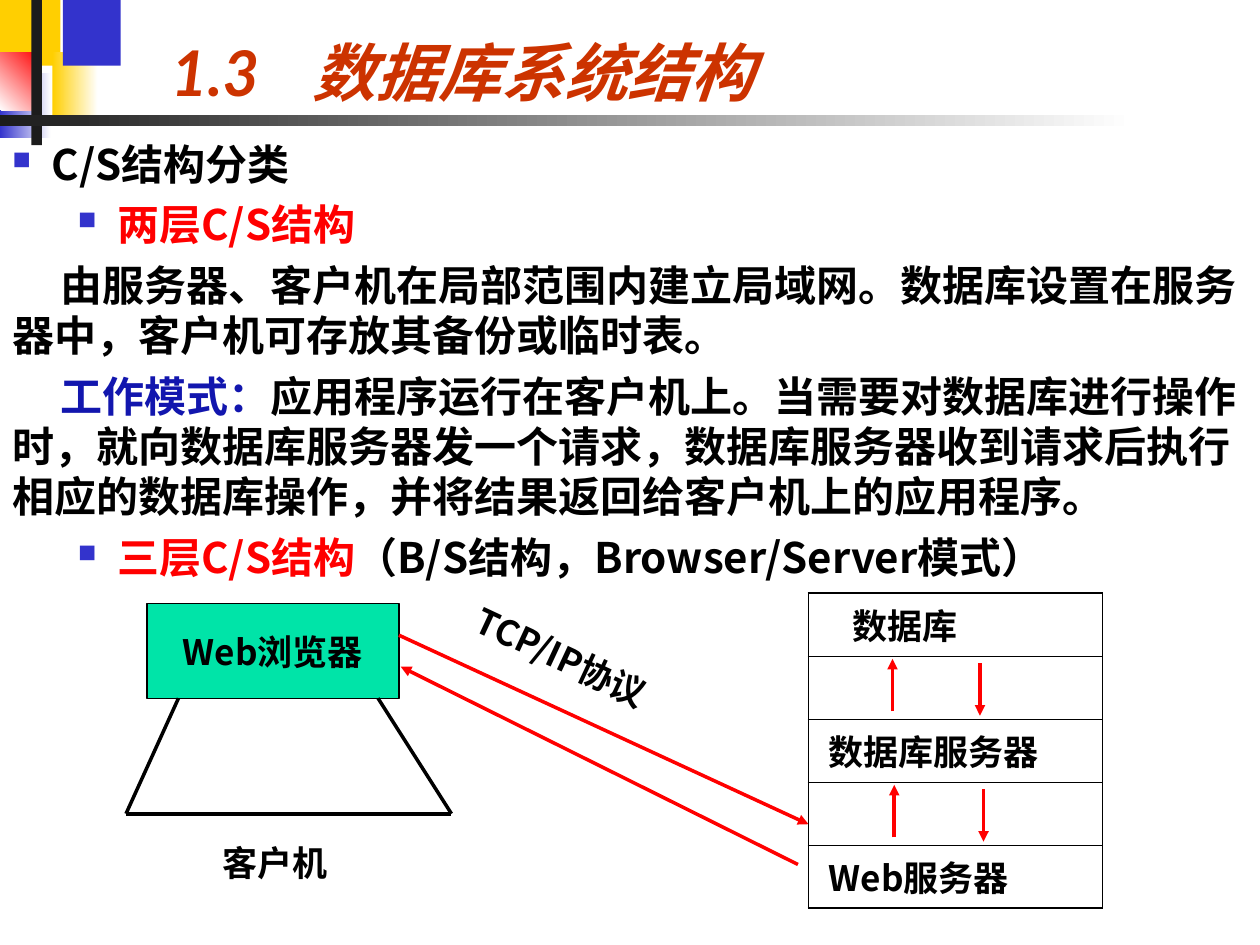
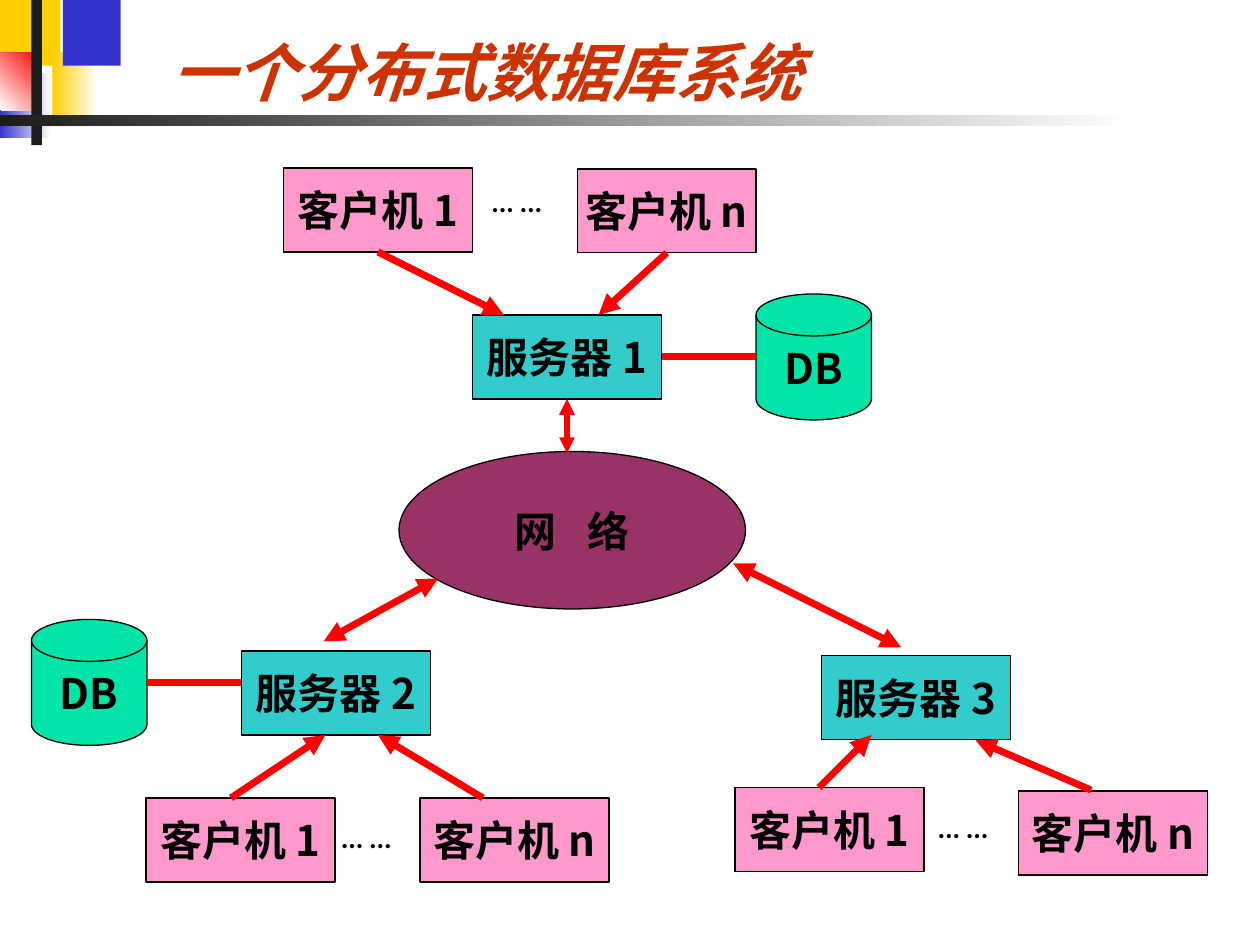
from lxml import etree
from pptx import Presentation
from pptx.dml.color import RGBColor
from pptx.enum.shapes import MSO_CONNECTOR, MSO_SHAPE
from pptx.enum.text import MSO_ANCHOR, PP_ALIGN
from pptx.oxml.ns import qn
from pptx.util import Pt

RECT, OVAL = MSO_SHAPE.RECTANGLE, MSO_SHAPE.OVAL
PROCESS, DISK = MSO_SHAPE.FLOWCHART_PROCESS, MSO_SHAPE.FLOWCHART_MAGNETIC_DISK
STRAIGHT = MSO_CONNECTOR.STRAIGHT
TOP, MIDDLE, BOTTOM = MSO_ANCHOR.TOP, MSO_ANCHOR.MIDDLE, MSO_ANCHOR.BOTTOM
CENTER = PP_ALIGN.CENTER
SIDE_BOTTOM, SIDE_TOP, SIDE_RIGHT = 2, 0, 3

LATO, NOTO = "Lato", "Noto Sans CJK SC"
COLORS = {
    "yellow": "FFCF01", "blue": "3333CC", "red": "FF0000", "dark": "1C1C1C",
    "white": "FFFFFF", "black": "000000", "title": "CC3300", "navy": "1216AE",
    "green": "00E4A8", "teal": "33CCCC", "pink": "FF99CC", "plum": "993366",
}
SERVER_W, BOX_W, BOX_H = 108, 108, 48


def rgb(name):
    return RGBColor.from_string(COLORS[name])


def sub(parent, tag, **attrs):
    el = etree.SubElement(parent, qn(tag))
    for key, value in attrs.items():
        el.set(key, str(value))
    return el


def add_text(tf, text, size=20, font=NOTO, color="black", italic=False,
             align=None, before=None, line=None, left=0, first=0,
             bullet=False, tab=None, spacing=None, new=False):
    """Fill a paragraph; text is a string or a list of (string, colour)."""
    p = tf.add_paragraph() if new else tf.paragraphs[0]
    pPr = p._p.get_or_add_pPr()
    if left or first:
        pPr.set("marL", str(Pt(left)))
        pPr.set("indent", str(Pt(first)))
    if bullet:
        clr = sub(pPr, "a:buClr")
        sub(clr, "a:srgbClr", val=COLORS["blue"])
        sub(pPr, "a:buSzPct", val=60000)
        sub(pPr, "a:buChar", char="■")
    if tab:
        sub(sub(pPr, "a:tabLst"), "a:tab", pos=Pt(tab), algn="l")
    if align is not None:
        p.alignment = align
    if before:
        p.space_before = Pt(before)
    if line:
        p.line_spacing = Pt(line)
    for part, part_color in [(text, color)] if isinstance(text, str) else text:
        r = p.add_run()
        r.text = part
        r.font.size, r.font.bold, r.font.italic = Pt(size), True, italic
        r.font.name = font
        r.font.color.rgb = rgb(part_color)
        sub(r._r.rPr, "a:ea", typeface=font)
        if spacing:
            r._r.rPr.set("spc", str(spacing * 100))


def add_box(slide, x, y, w, h, anchor=MIDDLE):
    sp = slide.shapes.add_textbox(Pt(x), Pt(y), Pt(w), Pt(h))
    sp.text_frame.word_wrap = True
    sp.text_frame.vertical_anchor = anchor
    return sp


def add_shape(slide, kind, x, y, w, h, fill, text=None, **fmt):
    """A labelled, outlined shape, or a bare one if there is no text."""
    sp = slide.shapes.add_shape(kind, Pt(x), Pt(y), Pt(w), Pt(h))
    sp.shadow.inherit = False
    sp.fill.solid()
    sp.fill.fore_color.rgb = rgb(fill)
    if text is None:
        sp.line.fill.background()
        return sp
    sp.line.color.rgb = rgb("black")
    sp.line.width = Pt(0.75)
    tf = sp.text_frame
    tf.word_wrap = False
    tf.vertical_anchor = MIDDLE
    add_text(tf, text, align=CENTER, **fmt)
    return sp


def add_line(slide, start, end, width=2, color="red", head=False, tail=False):
    cx = slide.shapes.add_connector(STRAIGHT, *(Pt(v) for v in (*start, *end)))
    cx.line.color.rgb = rgb(color)
    cx.line.width = Pt(width)
    ln = cx.line._get_or_add_ln()
    if head:
        sub(ln, "a:headEnd", type="triangle")
    if tail:
        sub(ln, "a:tailEnd", type="triangle")
    sub(cx._element.spPr, "a:effectLst")
    return cx


def draw_frame(slide, title):
    """Corner blocks, crossing bars and the title."""
    blocks = [
        (0, 0, 34.5, 37.5, "yellow", None, 0),
        (30, 30, 26, 37.5, "yellow", "white", 0),
        (36, 0, 33, 37.5, "blue", None, 0),
        (0, 41.5, 29, 37.5, "blue", "white", 0),
        (0, 30, 24, 33, "white", "red", 45),
        (18, 0, 6, 83, "dark", None, 0),
        (0, 66, 648, 6, "dark", "white", 0),
    ]
    for x, y, w, h, color, fade, angle in blocks:
        sp = add_shape(slide, RECT, x, y, w, h, color)
        if fade:
            sp.fill.gradient()
            sp.fill.gradient_angle = angle
            for stop, name in zip(sp.fill.gradient_stops, (color, fade)):
                stop.color.rgb = rgb(name)
    tf = add_box(slide, 90.75, 0, 491, 66, BOTTOM).text_frame
    add_text(tf, title, size=36, font=LATO, color="title", italic=True, tab=81)


def draw_body(slide, x, y, w, h):
    tf = add_box(slide, x, y, w, h, TOP).text_frame
    top = dict(left=22.5, first=-22.5, bullet=True)
    nested = dict(left=60, first=-22.5, bullet=True)
    plain = dict(first=27.5)
    paragraphs = [
        ("C/S结构分类", top),
        ([("两层C/S结构", "red")], nested),
        ("由服务器、客户机在局部范围内建立局域网。数据库设置在服务器中，"
         "客户机可存放其备份或临时表。", plain),
        ([("工作模式：", "navy"),
          ("应用程序运行在客户机上。当需要对数据库进行操作时，就向数据库服务器"
           "发一个请求，数据库服务器收到请求后执行相应的数据库操作，"
           "并将结果返回给客户机上的应用程序。", "black")], plain),
        ([("三层C/S结构", "red"),
          ("（B/S结构，Browser/Server模式）", "black")], nested),
    ]
    for i, (text, fmt) in enumerate(paragraphs):
        add_text(tf, text, size=24, line=28.7, before=6 if i else None,
                 new=i > 0, **fmt)


def draw_client(slide, x, y):
    """Browser screen on its stand, with a caption."""
    add_shape(slide, PROCESS, x + 12, y, 144, 54, "green", "Web浏览器")
    left, right = (x, y + 120), (x + 186, y + 120)
    for start, end in (((x + 30, y + 54), left), ((x + 144, y + 54), right),
                       (left, right)):
        add_line(slide, start, end, color="black")
    add_text(add_box(slide, x + 48, y + 132, 132, 32).text_frame, "客户机")


def set_borders(cell, widths):
    tcPr = cell._tc.get_or_add_tcPr()
    for i, (side, width) in enumerate(zip("LRTB", widths)):
        ln = etree.Element(qn("a:ln" + side), w=str(Pt(width)))
        sub(sub(ln, "a:solidFill"), "a:srgbClr", val=COLORS["black"])
        tcPr.insert(i, ln)


def draw_server_stack(slide, x, y, w, row_h):
    """Table of server layers with arrows in its empty rows."""
    layers = [("数据库", 25), None, ("数据库服务器", 11.5), None,
              ("Web服务器", 11.5)]
    last = len(layers) - 1
    table = slide.shapes.add_table(len(layers), 1, Pt(x), Pt(y), Pt(w),
                                   Pt(row_h * len(layers))).table
    table.first_row = table.horz_banding = False
    for i, layer in enumerate(layers):
        table.rows[i].height = Pt(row_h)
        cell = table.cell(i, 0)
        cell.fill.background()
        set_borders(cell, (1, 1, 0.45 if i else 1, 1 if i == last else 0.45))
        if layer:
            text, cell.margin_left = layer[0], Pt(layer[1])
            cell.margin_top = Pt(8)
            cell.vertical_anchor = MIDDLE
            add_text(cell.text_frame, text, line=24)
    for row, up, down in ((1, 48, 98), (3, 49, 100)):
        top = y + row * row_h + 1.5
        add_line(slide, (x + up, top + 30), (x + up, top), tail=True)
        add_line(slide, (x + down, top + 2.5), (x + down, top + 32.5), tail=True)


def draw_link(slide, x, y):
    """Request and reply arrows with the protocol name."""
    add_line(slide, (x, y), (x + 234, y + 108), tail=True)
    add_line(slide, (x + 228, y + 131), (x + 1, y + 18), tail=True)
    sp = add_box(slide, x + 31, y + 6.5, 168, 32)
    sp.rotation = 25
    add_text(sp.text_frame, "TCP/IP协议")


def draw_cluster(slide, x, y, number, first, nth, dots, arrows, nth_w=BOX_W):
    """A server and its clients; offsets run from the server's corner."""
    server = add_shape(slide, RECT, x, y, SERVER_W, BOX_H, "teal",
                       f"服务器 {number}", size=24)
    clients = [add_shape(slide, RECT, x + dx, y + dy, w, BOX_H, "pink",
                         f"客户机 {label}", size=24)
               for label, (dx, dy), w in (("1", first, BOX_W), ("n", nth, nth_w))]
    tf = add_box(slide, x + dots[0], y + dots[1], 114, 26.6).text_frame
    add_text(tf, "… …", size=16, font=LATO)
    lines = [add_line(slide, (x + x1, y + y1), (x + x2, y + y2), 4, tail=True)
             for x1, y1, x2, y2 in arrows]
    return server, clients, lines


def draw_database(slide, x, y):
    return add_shape(slide, DISK, x, y, 66, 72, "green", "DB", size=24)


def draw_network(slide, x, y):
    """Three server clusters around a network, from the network's corner."""
    add_shape(slide, OVAL, x, y, 198, 90, "plum", "网 络", size=24, font=LATO,
              spacing=6)
    server, clients, lines = draw_cluster(
        slide, x + 42, y - 78, 1, (-108, -84), (60, -83.5), (4, -78),
        [(-54, -36, 18, 0), (108, -36, 72, 0)], nth_w=102)
    for client, line in zip(clients, lines):
        line.begin_connect(client, SIDE_BOTTOM)
    draw_cluster(slide, x - 90, y + 114, 2, (-54.5, 84), (102, 84), (50, 93),
                 [(-6, 84, 48, 48), (138, 84, 78, 48)])
    draw_cluster(slide, x + 241.5, y + 116.5, 3, (-49.5, 75.5), (112.5, 77.5),
                 (59.5, 85), [(-1.5, 75.5, 28.5, 45.5), (154, 77, 88, 48.5)])

    draw_database(slide, x + 204, y - 90)
    draw_database(slide, x - 210, y + 96)
    line = add_line(slide, (x + 150, y - 54), (x + 204, y - 54), 4)
    line.begin_connect(server, SIDE_RIGHT)
    add_line(slide, (x - 144, y + 132), (x - 90, y + 132), 4)

    both = dict(head=True, tail=True)
    line = add_line(slide, (x + 96, y - 30), (x + 96, y + 1), 3, **both)
    line.begin_connect(server, SIDE_BOTTOM)
    add_line(slide, (x - 43, y + 108.5), (x + 22.5, y + 72.5), 4, **both)
    add_line(slide, (x + 287, y + 112), (x + 191, y + 64), 4, **both)


def main():
    prs = Presentation()
    prs.slide_width, prs.slide_height = Pt(720), Pt(540)
    blank = prs.slide_layouts[6]

    slide = prs.slides.add_slide(blank)
    draw_frame(slide, "1.3\t数据库系统结构")
    draw_body(slide, 0, 75.5, 720, 288)
    draw_client(slide, 72, 345)
    draw_server_stack(slide, 462, 339, 168, 36)
    draw_link(slide, 228, 363)

    slide = prs.slides.add_slide(blank)
    draw_frame(slide, "一个分布式数据库系统")
    draw_network(slide, 228, 258)

    prs.save("out.pptx")


if __name__ == "__main__":
    main()
